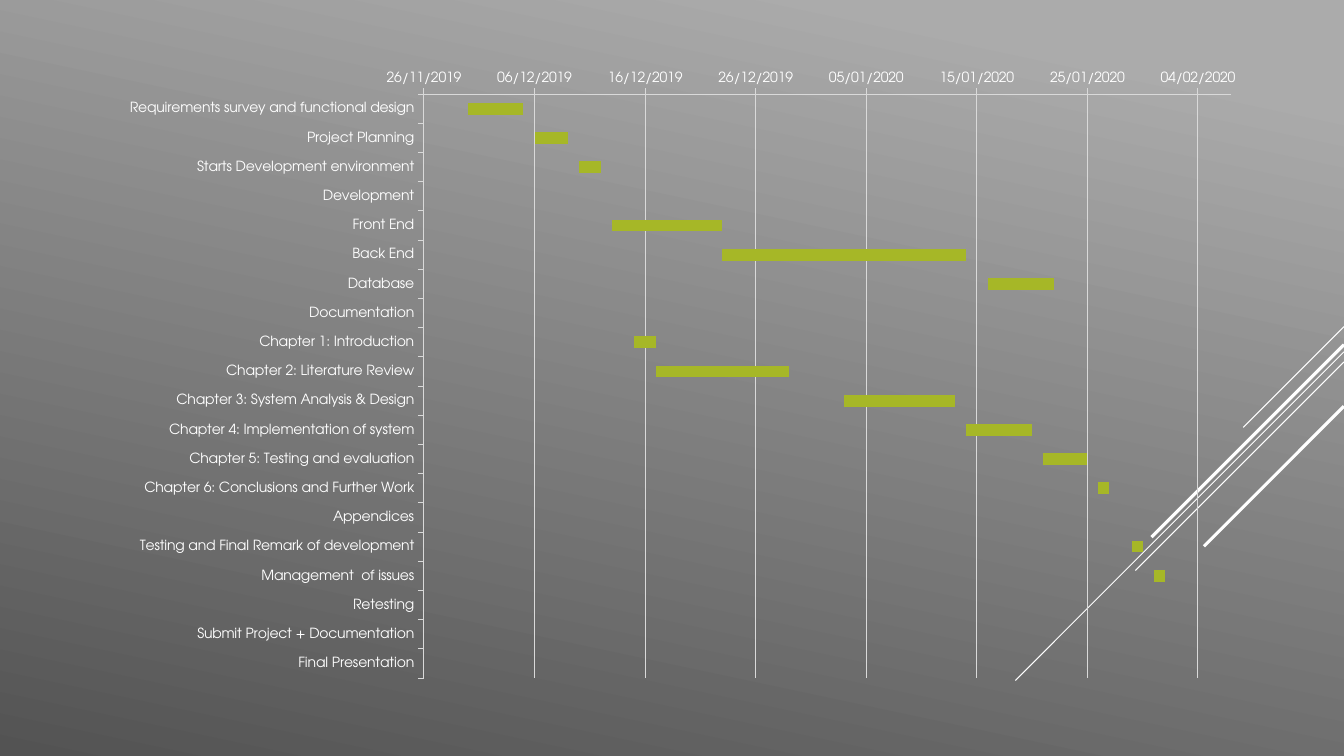
"""Build a project schedule slide with a Gantt chart drawn as stacked bars."""
from typing import NamedTuple, Optional

import lxml.etree
import pptx
import pptx.chart.axis
import pptx.chart.chart
import pptx.chart.data
import pptx.dml.color
import pptx.dml.line
import pptx.enum.chart
import pptx.enum.shapes
import pptx.oxml
import pptx.oxml.ns
import pptx.slide
import pptx.util

Pt = pptx.util.Pt
WIDTH, HEIGHT = 960, 540
FONT = "TeX Gyre Adventor"
WHITE, GRID, GREEN = "FFFFFF", "D9D9D9", "A6B727"
FIRST_DAY, LAST_DAY, DAY_STEP = 43795, 43868, 10


class Task(NamedTuple):
    """A schedule row: its start as a date serial and its length in days."""
    name: str
    start: Optional[int] = None
    days: Optional[int] = None


class Ray(NamedTuple):
    """A 45 degree line running down and left from the right edge."""
    top: float
    run: float
    weight: float


TASKS = [
    Task("Requirements survey and functional design", 43799, 5),
    Task("Project Planning", 43805, 3),
    Task("Starts Development environment", 43809, 2),
    Task("Development"),
    Task("Front End", 43812, 10),
    Task("Back End", 43822, 22),
    Task("Database", 43846, 6),
    Task("Documentation"),
    Task("Chapter 1: Introduction", 43814, 2),
    Task("Chapter 2: Literature Review", 43816, 12),
    Task("Chapter 3: System Analysis & Design", 43833, 10),
    Task("Chapter 4: Implementation of system", 43844, 6),
    Task("Chapter 5: Testing and evaluation", 43851, 4),
    Task("Chapter 6: Conclusions and Further Work", 43856, 1),
    Task("Appendices", 43858, 0),
    Task("Testing and Final Remark of development", 43859, 1),
    Task("Management  of issues", 43861, 1),
    Task("Retesting", 43832, 0),
    Task("Submit Project + Documentation", 43863, 0),
    Task("Final Presentation", 43867, 0),
]

RAYS = [
    Ray(233.3, 72, 0.75),
    Ray(251.3, 234.7, 0.75),
    Ray(258.5, 149, 0.75),
    Ray(246.2, 137.5, 2.25),
    Ray(290.2, 100, 2.25),
]


def color(value: str) -> pptx.dml.color.RGBColor:
    """Turn a hex string into a colour."""
    return pptx.dml.color.RGBColor.from_string(value)


def style_line(line: pptx.dml.line.LineFormat, value: str, weight: float) -> None:
    """Give a line a solid colour and a weight."""
    line.fill.solid()
    line.fill.fore_color.rgb = color(value)
    line.width = Pt(weight)


def paint_background(slide: pptx.slide.Slide) -> None:
    """Fill the slide with a grey gradient."""
    fill = slide.background.fill
    fill.gradient()
    fill.gradient_angle = 258
    for stop, (position, shade) in zip(fill.gradient_stops, [(0.1, "ABABAB"), (1, "535353")]):
        stop.position = position
        stop.color.rgb = color(shade)


def draw_ray(slide: pptx.slide.Slide, ray: Ray) -> None:
    """Draw one decorative diagonal."""
    connector = slide.shapes.add_connector(
        pptx.enum.shapes.MSO_CONNECTOR.STRAIGHT,
        Pt(WIDTH), Pt(ray.top), Pt(WIDTH - ray.run), Pt(ray.top + ray.run))
    style_line(connector.line, WHITE, ray.weight)
    lxml.etree.SubElement(connector._element.spPr, pptx.oxml.ns.qn("a:effectLst"))


def place_plot(chart: pptx.chart.chart.Chart, x: float, y: float, w: float, h: float) -> None:
    """Fix the inner plot area as fractions of the chart."""
    plot_area = chart._chartSpace.chart.plotArea
    for old in plot_area.findall(pptx.oxml.ns.qn("c:layout")):
        plot_area.remove(old)
    plot_area.insert(0, pptx.oxml.parse_xml(
        f'<c:layout {pptx.oxml.ns.nsdecls("c")}><c:manualLayout>'
        '<c:layoutTarget val="inner"/><c:xMode val="edge"/><c:yMode val="edge"/>'
        f'<c:x val="{x}"/><c:y val="{y}"/><c:w val="{w}"/><c:h val="{h}"/>'
        '</c:manualLayout></c:layout>'))


def style_axis(axis: pptx.chart.axis._BaseAxis) -> None:
    """Give an axis its line and outside ticks."""
    style_line(axis.format.line, GRID, 0.75)
    axis.major_tick_mark = pptx.enum.chart.XL_TICK_MARK.OUTSIDE
    axis.minor_tick_mark = pptx.enum.chart.XL_TICK_MARK.NONE


def draw_schedule(slide: pptx.slide.Slide) -> None:
    """Draw the Gantt chart: unfilled start bars followed by green durations."""
    schedule = pptx.chart.data.CategoryChartData()
    schedule.categories = [task.name for task in TASKS]
    schedule.add_series("Series 1", [task.start for task in TASKS])
    schedule.add_series("Series 2", [task.days for task in TASKS])
    chart = slide.shapes.add_chart(
        pptx.enum.chart.XL_CHART_TYPE.BAR_STACKED,
        Pt(76.3), Pt(42.5), Pt(823.7), Pt(451.4), schedule).chart
    chart.has_legend = False
    chart.has_title = False
    chart.font.name = FONT
    chart.font.size = Pt(10)
    chart.font.color.rgb = color(WHITE)
    place_plot(chart, 0.275, 0.055, 0.70, 0.924)

    plot = chart.plots[0]
    plot.gap_width = 150
    plot.overlap = 100
    plot.vary_by_categories = False
    starts, durations = plot.series
    starts.format.fill.background()
    starts.format.line.fill.background()
    durations.format.fill.solid()
    durations.format.fill.fore_color.rgb = color(GREEN)
    durations.format.line.fill.background()

    tasks_axis, dates_axis = chart.category_axis, chart.value_axis
    style_axis(tasks_axis)
    style_axis(dates_axis)
    tasks_axis.reverse_order = True
    dates_axis.minimum_scale = FIRST_DAY
    dates_axis.maximum_scale = LAST_DAY
    dates_axis.major_unit = DAY_STEP
    dates_axis.tick_labels.number_format = "dd/mm/yyyy"
    dates_axis.tick_labels.number_format_is_linked = False
    dates_axis.has_major_gridlines = True
    style_line(dates_axis.major_gridlines.format.line, GRID, 0.75)


def main() -> None:
    """Build and save the presentation."""
    presentation = pptx.Presentation()
    presentation.slide_width = Pt(WIDTH)
    presentation.slide_height = Pt(HEIGHT)
    slide = presentation.slides.add_slide(presentation.slide_layouts.get_by_name("Blank"))
    paint_background(slide)
    for ray in RAYS:
        draw_ray(slide, ray)
    draw_schedule(slide)
    presentation.save("out.pptx")


main()
